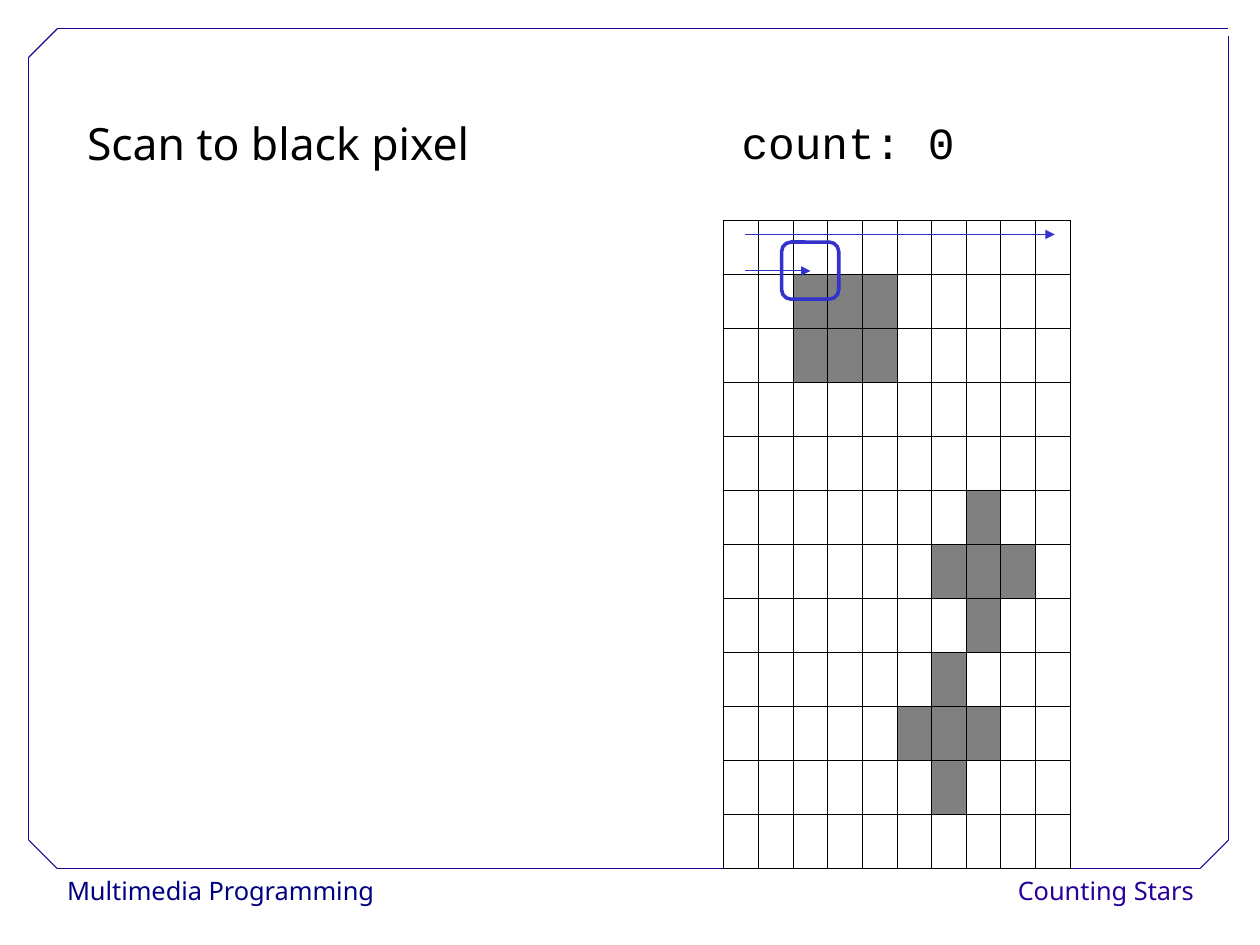
from lxml import etree
from pptx import Presentation
from pptx import util as u
from pptx.dml.color import RGBColor
from pptx.enum import shapes, text
from pptx.oxml import ns

INK, NAVY, INDIGO, BLUE, GRAY, WHITE = (
    "000000", "000080", "280099", "3333CC", "808080", "FFFFFF")
SANS, MONO = "Noto Sans", "Courier New"

# Star map: # marks a dark pixel
SKY = """
..........
..###.....
..###.....
..........
..........
.......#..
......###.
.......#..
......#...
.....###..
......#...
..........
""".split()


def color(value):
    return RGBColor.from_string(value)


def write(frame, words, size=28, font=SANS, ink=INK, spacing=1.5,
          align=text.PP_ALIGN.LEFT, wrap=True):
    """Fill a text frame with one formatted paragraph."""
    frame.word_wrap = wrap
    frame.auto_size = text.MSO_AUTO_SIZE.NONE
    frame.vertical_anchor = text.MSO_ANCHOR.TOP
    paragraph = frame.paragraphs[0]
    paragraph.alignment, paragraph.line_spacing = align, spacing
    run = paragraph.add_run()
    run.text = words
    run.font.size, run.font.name = u.Pt(size), font
    run.font.color.rgb = color(ink)


class Board:
    """Holds the current slide and draws on it; lengths are centimetres."""

    def __init__(self, slide):
        self.slide = slide

    def title(self, words, *box):
        heading = self.slide.shapes.title
        heading.left, heading.top, heading.width, heading.height = map(u.Cm, box)
        write(heading.text_frame, words)

    def label(self, words, *box, fill=None, **style):
        caption = self.slide.shapes.add_textbox(*map(u.Cm, box))
        if fill:
            caption.fill.solid()
            caption.fill.fore_color.rgb = color(fill)
        write(caption.text_frame, words, **style)

    def line(self, *ends, ink=INDIGO, arrow=False):
        stroke = self.slide.shapes.add_connector(
            shapes.MSO_CONNECTOR.STRAIGHT, *map(u.Cm, ends))
        stroke.line.width = u.Pt(0.75)
        stroke.line.color.rgb = color(ink)
        if arrow:
            etree.SubElement(stroke.line._get_or_add_ln(),
                             ns.qn("a:tailEnd"), type="triangle")
        etree.SubElement(stroke._element.spPr, ns.qn("a:effectLst"))

    def ring(self, left, top, side):
        marker = self.slide.shapes.add_shape(
            shapes.MSO_SHAPE.ROUNDED_RECTANGLE,
            *map(u.Cm, (left, top, side, side)))
        marker.shadow.inherit = False
        marker.fill.background()
        marker.line.width = u.Pt(2.25)
        marker.line.color.rgb = color(BLUE)

    def pixels(self, rows, left, top, width, height):
        count = len(rows[0])
        grid = self.slide.shapes.add_table(
            len(rows), count, u.Cm(left), u.Cm(top),
            u.Cm(width * count), u.Cm(height * len(rows))).table
        grid.first_row = grid.horz_banding = False
        for column in grid.columns:
            column.width = u.Cm(width)
        for y, row in enumerate(rows):
            grid.rows[y].height = u.Cm(height)
            for x, mark in enumerate(row):
                cell = grid.cell(y, x)
                self.border(cell)
                if mark == "#":
                    cell.fill.solid()
                    cell.fill.fore_color.rgb = color(GRAY)
                else:
                    cell.fill.background()

    def border(self, cell):
        properties = cell._tc.get_or_add_tcPr()
        for side in ("lnL", "lnR", "lnT", "lnB"):
            edge = etree.SubElement(properties, ns.qn(f"a:{side}"),
                                    w=str(u.Pt(0.45)))
            paint = etree.SubElement(edge, ns.qn("a:solidFill"))
            etree.SubElement(paint, ns.qn("a:srgbClr"), val=INK)


def main():
    deck = Presentation()
    deck.slide_width, deck.slide_height = u.Cm(28), u.Cm(21)
    board = Board(deck.slides.add_slide(deck.slide_layouts[5]))

    # Footer
    board.label("Multimedia Programming", 1.24, 19.3, 5.46, 1.02, fill=WHITE,
                size=16, ink=NAVY, spacing=1.02, wrap=False)
    board.label("Counting Stars", 23.22, 19.3, 3.56, 1.02, fill=WHITE,
                size=16, ink=INDIGO, spacing=1.02, wrap=False,
                align=text.PP_ALIGN.RIGHT)

    # Frame with cut corners
    left, right, top, bottom, cut = 0.64, 27.3, 0.64, 19.3, 0.63
    for ends in (
        (left + cut, bottom, right - cut, bottom),
        (left, bottom - cut, left, top + cut),
        (left + cut, top, right, top),
        (right, bottom - cut, right, 0.81),
        (left, top + cut, left + cut, top),
        (right - cut, bottom, right, bottom - cut),
        (left, bottom - cut, left + cut, bottom),
    ):
        board.line(*ends)

    # Star map with the scan so far
    board.pixels(SKY, 16.08, 4.9, 0.77, 1.2)
    for scan_end, scan_y in ((23.44, 5.21), (18.01, 6.02)):
        board.line(16.56, scan_y, scan_end, scan_y, ink=BLUE, arrow=True)
    board.ring(17.37, 5.38, 1.27)

    # Heading and counter
    board.title("Scan to black pixel", 1.68, 1.85, 13.77, 2.03)
    board.label("count: 0", 16.23, 1.85, 7.52, 2.03, font=MONO)

    deck.save("out.pptx")


if __name__ == "__main__":
    main()
